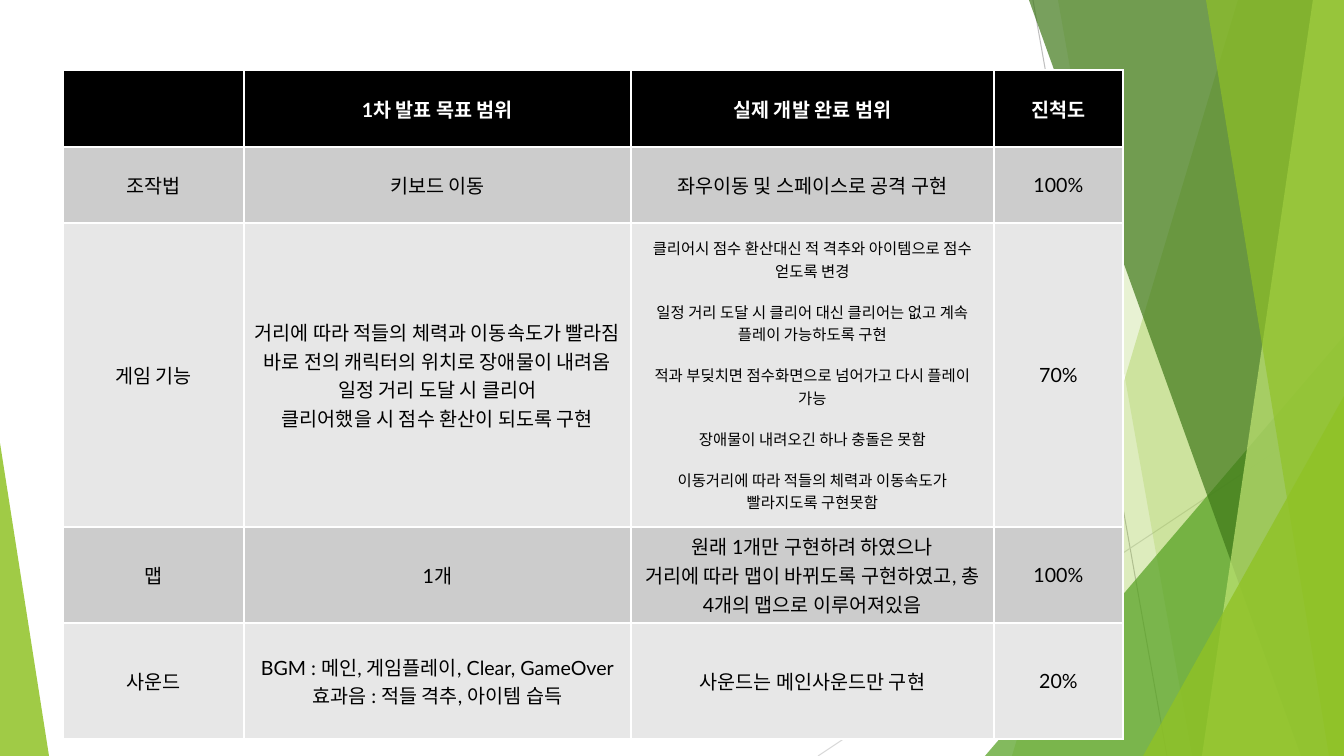
from lxml.etree import SubElement
from pptx import Presentation
from pptx.dml.color import RGBColor
from pptx.enum.shapes import MSO_CONNECTOR as CONN, MSO_SHAPE as SHAPE
from pptx.enum.text import MSO_ANCHOR as ANCHOR, PP_ALIGN as ALIGN
from pptx.oxml.ns import qn
from pptx.util import Pt

WHITE = RGBColor(0xFF, 0xFF, 0xFF)
BLACK = RGBColor(0x00, 0x00, 0x00)
BAND_DARK = RGBColor(0xCC, 0xCC, 0xCC)
BAND_LIGHT = RGBColor(0xE7, 0xE7, 0xE7)
GREY = RGBColor(0xBF, 0xBF, 0xBF)
PALE_GREY = RGBColor(0xD9, 0xD9, 0xD9)
LIME = RGBColor(0x90, 0xC2, 0x26)
GREEN = RGBColor(0x54, 0xA0, 0x21)
DARK_GREEN = RGBColor(0x3F, 0x78, 0x19)
PALE_LIME = RGBColor(0xC0, 0xE4, 0x74)

W, H = 1344, 756
SCALE = 12192000 / W


def px(*values):
    return [round(v * SCALE) for v in values]


def paint(sp, color, alpha):
    sp.shadow.inherit = False
    sp.line.fill.background()
    sp.fill.solid()
    sp.fill.fore_color.rgb = color
    clr = sp.fill._xPr.find(qn("a:solidFill"))[0]
    SubElement(clr, qn("a:alpha")).set("val", str(alpha * 1000))


prs = Presentation()
prs.slide_width, prs.slide_height = px(W, H)
s = prs.slides.add_slide(prs.slide_layouts[6])

for ends, color in [((1033, 0, 1167, H), GREY), ((W, 406, 818, H), PALE_GREY)]:
    line = s.shapes.add_connector(CONN.STRAIGHT, *px(*ends))
    line.line.color.rgb = color
    line.line.width = Pt(0.75)
    SubElement(line._element.spPr, qn("a:effectLst"))

facets = [
    ("band", (1238, 1012), LIME, 30),
    ("band", (1058, 1192), LIME, 20),
    ("triangle", (985, 336, 359, 420, 1), GREEN, 72),
    ("band", (1029, 1301), DARK_GREEN, 70),
    ("band", (1313, 1202), PALE_LIME, 70),
    ("band", (1206, 1329), LIME, 65),
    ("triangle", (1143, 396, 201, 360, 1), LIME, 80),
    ("triangle", (0, 443, 49, 313, 0), LIME, 85),
]
for kind, geometry, color, alpha in facets:
    if kind == "band":
        top, bottom = geometry
        outline = s.shapes.build_freeform(top, 0, scale=SCALE)
        outline.add_line_segments([(W, 0), (W, H), (bottom, H)], close=True)
        sp = outline.convert_to_shape()
    else:
        *box, apex = geometry
        sp = s.shapes.add_shape(SHAPE.ISOSCELES_TRIANGLE, *px(*box))
        sp.adjustments[0] = apex
    paint(sp, color, alpha)

rows = [
    ["", "1차 발표 목표 범위", "실제 개발 완료 범위", "진척도"],
    ["조작법", "키보드 이동", "좌우이동 및 스페이스로 공격 구현", "100%"],
    ["게임 기능",
     "거리에 따라 적들의 체력과 이동속도가 빨라짐\n"
     "바로 전의 캐릭터의 위치로 장애물이 내려옴\n"
     "일정 거리 도달 시 클리어\n"
     "클리어했을 시 점수 환산이 되도록 구현",
     "클리어시 점수 환산대신 적 격추와 아이템으로 점수 얻도록 변경\n"
     "일정 거리 도달 시 클리어 대신 클리어는 없고 계속 플레이 가능하도록 구현\n"
     "적과 부딪치면 점수화면으로 넘어가고 다시 플레이 가능\n"
     "장애물이 내려오긴 하나 충돌은 못함\n"
     "이동거리에 따라 적들의 체력과 이동속도가 빨라지도록 구현못함",
     "70%"],
    ["맵", "1개",
     "원래 1개만 구현하려 하였으나\n"
     "거리에 따라 맵이 바뀌도록 구현하였고, 총 4개의 맵으로 이루어져있음",
     "100%"],
    ["사운드",
     "BGM : 메인, 게임플레이, Clear, GameOver\n효과음 : 적들 격추, 아이템 습득",
     "사운드는 메인사운드만 구현", "20%"],
]
widths = [181, 387, 363, 129]
heights = [77, 76, 304, 96, 116]
table = s.shapes.add_table(
    len(rows), len(widths), *px(63, 70, sum(widths), sum(heights))).table
for column, width in zip(table.columns, px(*widths)):
    column.width = width
for row, height in zip(table.rows, px(*heights)):
    row.height = height

for i, texts in enumerate(rows):
    for j, text in enumerate(texts):
        cell = table.cell(i, j)
        cell.vertical_anchor = ANCHOR.MIDDLE
        cell.fill.solid()
        band = BAND_DARK if i % 2 else BAND_LIGHT
        cell.fill.fore_color.rgb = band if i else BLACK
        cell.text = text
        detailed = (i, j) == (2, 2)
        for p in cell.text_frame.paragraphs:
            p.alignment = ALIGN.CENTER
            p.font.name = "Lato"
            p.font.size = Pt(11 if detailed else 14)
            p.font.bold = i == 0
            p.font.color.rgb = BLACK if i else WHITE
            if detailed:
                p.space_after = Pt(13.5)

prs.save("out.pptx")
